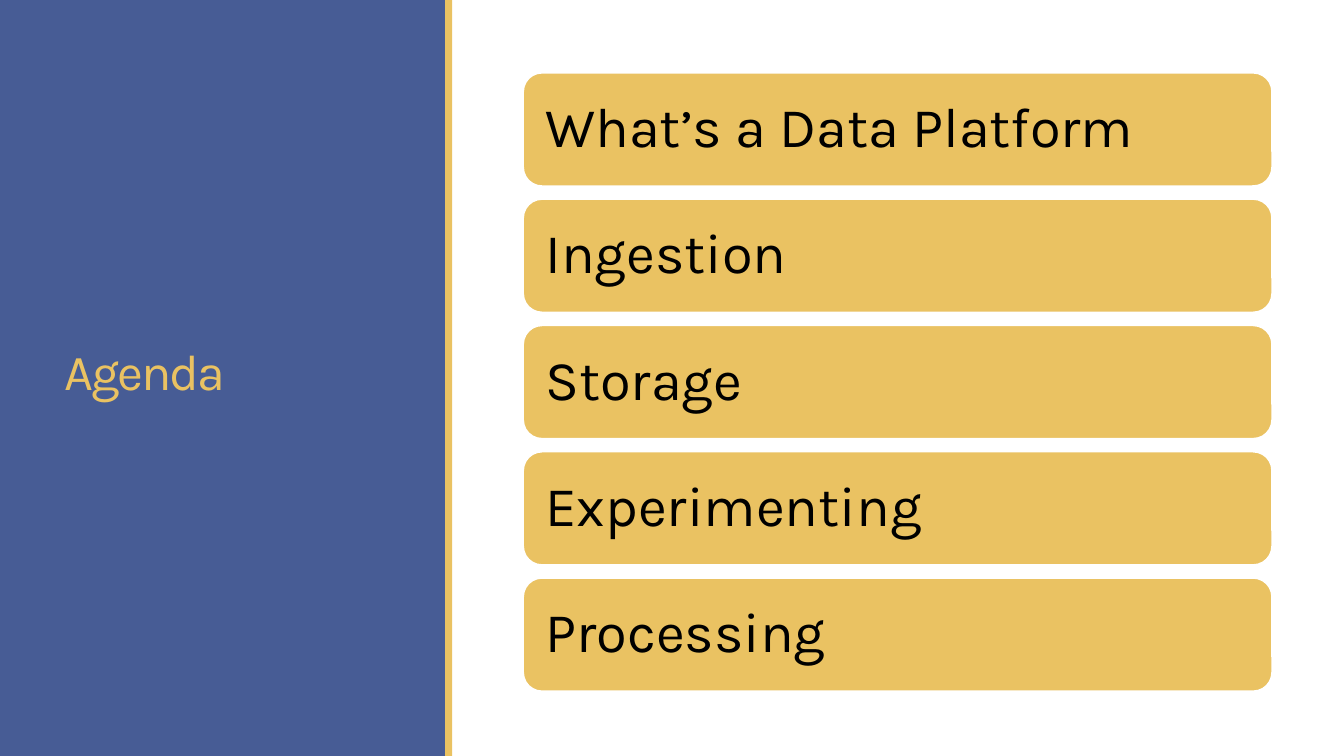
from pptx import Presentation
from pptx.dml.color import RGBColor
from pptx.enum.shapes import MSO_SHAPE
from pptx.enum.text import MSO_ANCHOR, PP_ALIGN
from pptx.util import Pt

# Content
TITLE = "Agenda"
TOPICS = ["What’s a Data Platform", "Ingestion", "Storage", "Experimenting", "Processing"]


class Theme:
    blue = RGBColor.from_string("475C95")
    gold = RGBColor.from_string("EAC262")
    white = RGBColor.from_string("FFFFFF")
    black = RGBColor.from_string("000000")
    font = "Karla"
    title_size = 36
    topic_size = 40


# Layout, in points
SLIDE_WIDTH, SLIDE_HEIGHT = 960, 540
PANEL_WIDTH = 319
STRIPE_LEFT, STRIPE_WIDTH = 318, 5
CARD_LEFT, CARD_TOP, CARD_WIDTH, CARD_HEIGHT = 373.7, 52, 535, 81
CARD_PITCH = 90.2


def add_block(page, kind, left, top, width, height, fill, line=None):
    block = page.shapes.add_shape(kind, Pt(left), Pt(top), Pt(width), Pt(height))
    block.shadow.inherit = False
    block.fill.solid()
    block.fill.fore_color.rgb = fill
    if line is None:
        block.line.fill.background()
    else:
        block.line.color.rgb = line
        block.line.width = Pt(1.25)
    return block


def write_text(box, text, *, size, color, line_spacing, inset_x, inset_y, tracking=0):
    frame = box.text_frame
    frame.word_wrap = True
    frame.vertical_anchor = MSO_ANCHOR.MIDDLE
    frame.margin_left = frame.margin_right = Pt(inset_x)
    frame.margin_top = frame.margin_bottom = Pt(inset_y)
    para = frame.paragraphs[0]
    para.alignment = PP_ALIGN.LEFT
    para.line_spacing = line_spacing
    span = para.add_run()
    span.text = text
    span.font.name = Theme.font
    span.font.size = Pt(size)
    span.font.color.rgb = color
    if tracking:
        span.font._element.set("spc", str(round(tracking * 100)))


deck = Presentation()
deck.slide_width, deck.slide_height = Pt(SLIDE_WIDTH), Pt(SLIDE_HEIGHT)
page = deck.slides.add_slide(deck.slide_layouts[6])

# Title panel with its gold edge
add_block(page, MSO_SHAPE.RECTANGLE, 0, 0, PANEL_WIDTH, SLIDE_HEIGHT, Theme.blue)
title_box = page.shapes.add_textbox(Pt(39), Pt(41), Pt(243), Pt(454))
write_text(title_box, TITLE, size=Theme.title_size, color=Theme.gold,
           line_spacing=0.85, inset_x=7.2, inset_y=3.6, tracking=-1.5)
add_block(page, MSO_SHAPE.RECTANGLE, STRIPE_LEFT, 0, STRIPE_WIDTH, SLIDE_HEIGHT, Theme.gold)

# Topic cards
for index, topic in enumerate(TOPICS):
    card = add_block(page, MSO_SHAPE.ROUNDED_RECTANGLE, CARD_LEFT,
                     CARD_TOP + index * CARD_PITCH, CARD_WIDTH, CARD_HEIGHT,
                     Theme.gold, line=Theme.white)
    write_text(card, topic, size=Theme.topic_size, color=Theme.black,
               line_spacing=0.9, inset_x=12, inset_y=12)

deck.save("out.pptx")
